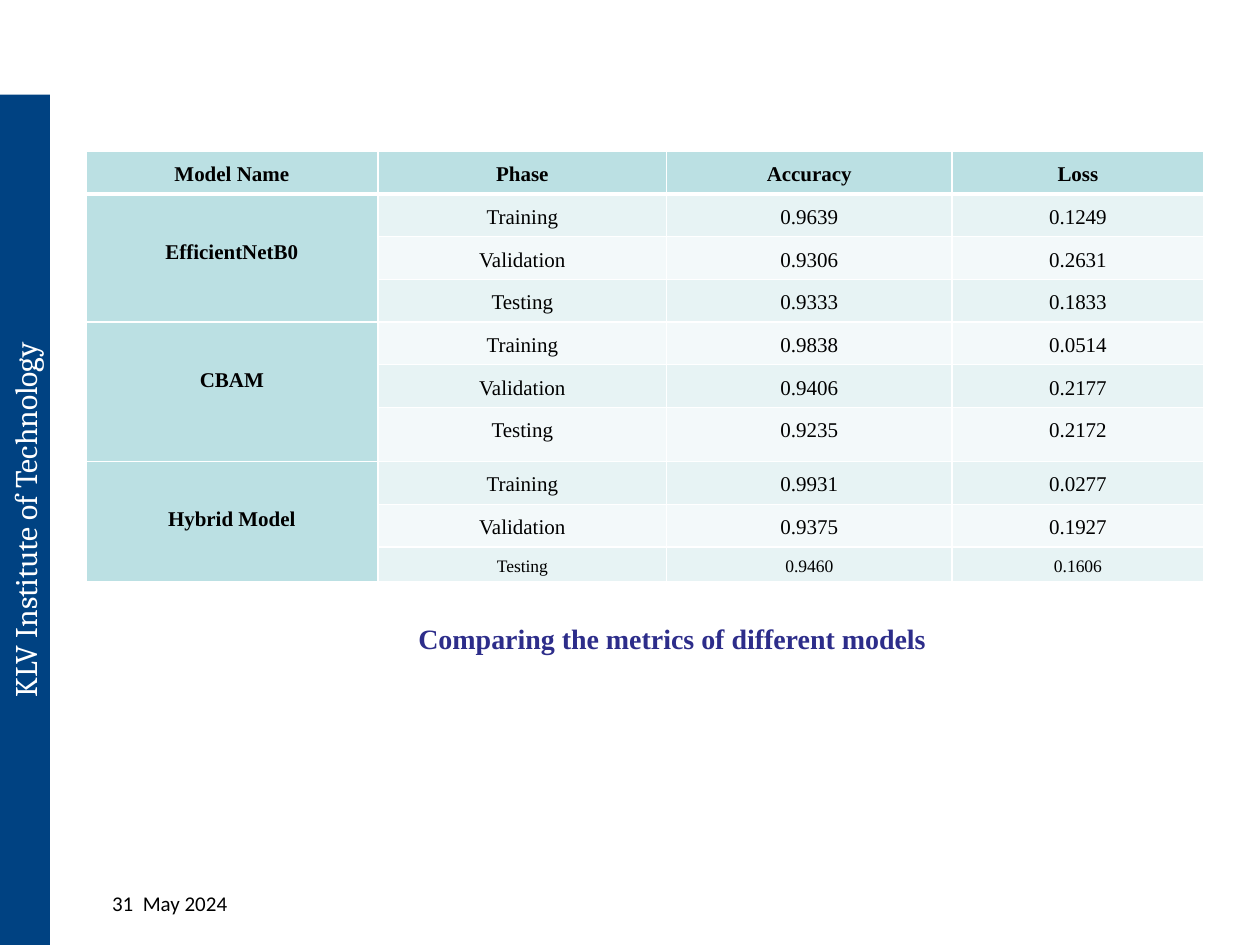
from dataclasses import dataclass
from typing import Any

from lxml import etree
from pptx import Presentation
from pptx import util as u
from pptx.dml.color import RGBColor
from pptx.enum import shapes, text
from pptx.oxml.ns import qn

HUES = {
    "navy": "004282",
    "teal": "BBE0E3",
    "light": "E7F3F4",
    "pale": "F3F9FA",
    "indigo": "2D2D8A",
    "black": "000000",
    "white": "FFFFFF",
}
SERIF = "Times New Roman"
HEADS = ["Model Name", "Phase", "Accuracy", "Loss"]
PHASES = ["Training", "Validation", "Testing"]
MODELS = {
    "EfficientNetB0": [("0.9639", "0.1249"), ("0.9306", "0.2631"), ("0.9333", "0.1833")],
    "CBAM": [("0.9838", "0.0514"), ("0.9406", "0.2177"), ("0.9235", "0.2172")],
    "Hybrid Model": [("0.9931", "0.0277"), ("0.9375", "0.1927"), ("0.9460", "0.1606")],
}
WIDTHS = [167, 165, 163, 144]
HEIGHTS = [24.4] * 6 + [31] + [24.4] * 2 + [20]


@dataclass
class Deck:
    slide: Any
    font: str = SERIF
    size: float = 12

    def hue(self, name):
        return RGBColor.from_string(HUES[name])

    def fill(self, item, name):
        item.fill.solid()
        item.fill.fore_color.rgb = self.hue(name)

    def style(self, frame, words, size=None, color="black", font=None, bold=False, align="CENTER"):
        frame.text = words
        para = frame.paragraphs[0]
        para.alignment = getattr(text.PP_ALIGN, align)
        for run in para.runs:
            run.font.name = font or self.font
            run.font.size = u.Pt(size or self.size)
            run.font.bold = bold
            run.font.color.rgb = self.hue(color)
        return para

    def bar(self, box, words, fill, **look):
        shape = self.slide.shapes.add_shape(shapes.MSO_SHAPE.RECTANGLE, *map(u.Pt, box))
        shape.rotation = 270
        shape.shadow.inherit = False
        self.fill(shape, fill)
        shape.line.fill.background()
        shape.text_frame.vertical_anchor = text.MSO_ANCHOR.MIDDLE
        self.style(shape.text_frame, words, **look)

    def label(self, box, words, **look):
        frame = self.slide.shapes.add_textbox(*map(u.Pt, box)).text_frame
        frame.word_wrap = True
        frame.vertical_anchor = text.MSO_ANCHOR.MIDDLE
        self.style(frame, words, **look)

    def grid(self, left, top, widths, heights):
        box = map(u.Pt, (left, top, sum(widths), sum(heights)))
        table = self.slide.shapes.add_table(len(heights), len(widths), *box).table
        for col, width in zip(table.columns, widths):
            col.width = u.Pt(width)
        for row, height in zip(table.rows, heights):
            row.height = u.Pt(height)
        return table

    def edge(self, cell, side, width):
        props = cell._tc.get_or_add_tcPr()
        line = etree.SubElement(props, qn("a:ln" + side), w=str(u.Pt(width)))
        fill = etree.SubElement(line, qn("a:solidFill"))
        etree.SubElement(fill, qn("a:srgbClr"), val=HUES["white"])

    def cell(self, table, row, col, words, fill, drop=0, **look):
        cell = table.cell(row, col)
        thick = {(0, "B"), (1, "T")}
        for side in "LRTB":
            self.edge(cell, side, 3 if (row, side) in thick else 1)
        self.fill(cell, fill)
        cell.margin_left = cell.margin_right = u.Pt(5)
        cell.margin_top, cell.margin_bottom = u.Pt(drop), u.Pt(0)
        self.style(cell.text_frame, words, **look).line_spacing = 1.5


def main():
    show = Presentation()
    show.slide_width, show.slide_height = u.Pt(720), u.Pt(540)
    deck = Deck(show.slides.add_slide(show.slide_layouts[6]))

    deck.bar((-229, 282.5, 486, 29), "KLV Institute of Technology", "navy",
             size=18, color="white", font="Cambria")
    deck.label((35.5, 501, 123, 30), "31  May 2024", font="Calibri")

    table = deck.grid(49, 86.5, WIDTHS, HEIGHTS)
    for col, head in enumerate(HEADS):
        deck.cell(table, 0, col, head, "teal", bold=True)
    last = len(HEIGHTS) - 1
    for rank, (model, scores) in enumerate(MODELS.items()):
        first = 1 + rank * len(PHASES)
        table.cell(first, 0).merge(table.cell(first + len(PHASES) - 1, 0))
        deck.cell(table, first, 0, model, "teal", drop=20, bold=True)
        for row, (phase, score) in enumerate(zip(PHASES, scores), first):
            fill = "light" if row % 2 else "pale"
            for col, words in enumerate((phase, *score), 1):
                deck.cell(table, row, col, words, fill, size=10 if row == last else 12)

    deck.label((232, 351.5, 361, 26.5), "Comparing the metrics of different models",
               size=16, color="indigo", bold=True, align="LEFT")
    show.save("out.pptx")


if __name__ == "__main__":
    main()
